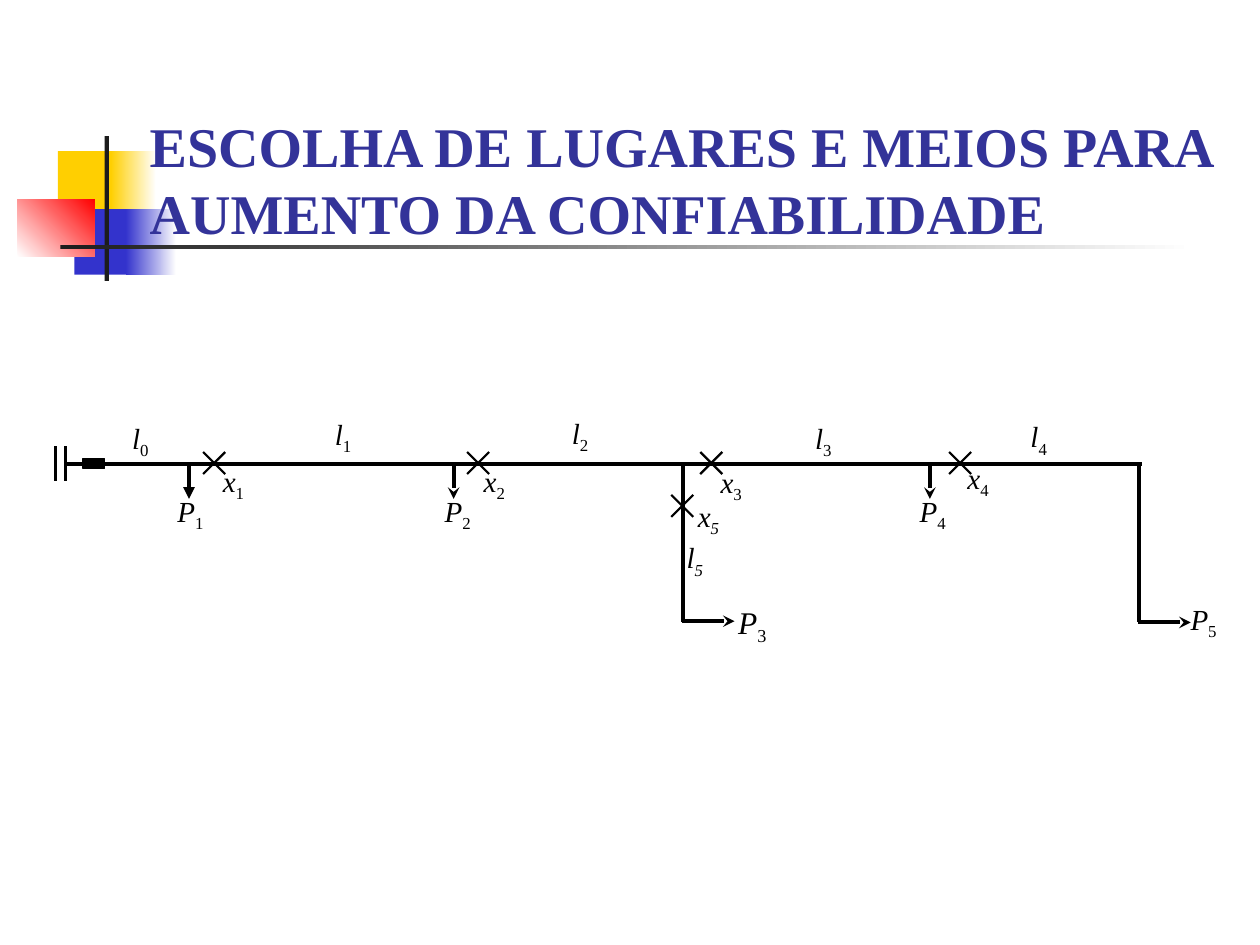
from dataclasses import dataclass
from typing import NamedTuple

from lxml import etree
from pptx import Presentation, util as u
from pptx.dml.color import RGBColor
from pptx.enum import shapes, text
from pptx.oxml import ns

COLUMNS, ROWS = 100, 75
FEEDER_ROW = 36.8


@dataclass(frozen=True)
class Theme:
    font: str = "Times New Roman"
    title_color: str = "333399"
    ink: str = "000000"
    paper: str = "FFFFFF"
    yellow: str = "FFCF01"
    blue: str = "3333CC"
    red: str = "FF0000"
    charcoal: str = "1C1C1C"
    title_size: float = 32
    label_size: float = 16.6
    large_label_size: float = 18
    feeder_width: float = 2.25
    source_width: float = 2
    cross_width: float = 1.25
    block_width: float = 0.75


THEME = Theme()


class Box(NamedTuple):
    column: float
    row: float
    columns: float
    rows: float


class Block(NamedTuple):
    box: Box
    color: str
    fade_to: str = ""
    angle: float = 0


class Wire(NamedTuple):
    start: tuple[float, float]
    end: tuple[float, float]
    width: float = THEME.feeder_width
    arrow: str = ""


class Label(NamedTuple):
    letter: str
    index: str
    column: float
    row: float
    size: float = THEME.label_size
    line_spacing: float = 0.9
    box_size: tuple[float, float] = (6.1, 4.2)
    italic_index: bool = False


DECORATION = [
    Block(Box(4.6, 12, 4.8, 5.2), THEME.yellow),
    Block(Box(8.8, 12, 3.6, 5.2), THEME.yellow, THEME.paper),
    Block(Box(5.9, 16.6, 4.6, 5.2), THEME.blue),
    Block(Box(10, 16.6, 4, 5.2), THEME.blue, THEME.paper),
    Block(Box(1.4, 15.8, 6.1, 4.6), THEME.paper, THEME.red, 45),
    Block(Box(8.3, 10.8, 0.35, 11.5), THEME.charcoal),
    Block(Box(4.8, 19.45, 90, 0.35), THEME.charcoal, THEME.paper),
]
TITLE_BOX = Box(10.9, 6.7, 87.4, 13.3)
TITLE = "ESCOLHA DE LUGARES E MEIOS PARA AUMENTO DA CONFIABILIDADE"

BREAKER = Block(Box(6.6, 36.4, 1.7, 0.8), THEME.ink)
LOAD_TAPS = [(15, "triangle"), (36, "stealth"), (73.8, "stealth")]
BRANCHES = [(54.2, 49.3), (90.4, 49.4)]
WIRES = [
    Wire((5.2, FEEDER_ROW), (90.6, FEEDER_ROW)),
    *(Wire((column, FEEDER_ROW), (column, 39.6), arrow=head) for column, head in LOAD_TAPS),
    *(Wire((column, FEEDER_ROW), (column, 49.4)) for column, _ in BRANCHES),
    *(Wire((column - 0.1, row), (column + 4.1, row), arrow="stealth") for column, row in BRANCHES),
    *(Wire((column, 35.4), (column, 38.2), THEME.source_width) for column in (4.4, 5.2)),
]
CROSS_SPAN = 1.75
CROSS_CENTRES = [(17, 36.75), (37.95, 36.75), (56.45, 36.75), (76.2, 36.75), (54.15, 40.15)]

LABELS = [
    Label("P", "1", 13.1, 38.7),
    Label("P", "2", 34.3, 38.7),
    Label("P", "3", 57.6, 47.4, THEME.large_label_size, 1.0, (7.1, 4.9)),
    Label("P", "4", 72, 38.7),
    Label("P", "5", 93.5, 47.3),
    Label("l", "0", 9.5, 32.9),
    Label("l", "1", 25.6, 32.6),
    Label("l", "2", 44.4, 32.5),
    Label("l", "3", 63.7, 32.9),
    Label("l", "4", 80.8, 32.8),
    Label("l", "5", 53.5, 42.4, italic_index=True),
    Label("x", "1", 16.7, 36.3),
    Label("x", "2", 37.4, 36.3),
    Label("x", "3", 56.2, 36.4),
    Label("x", "4", 75.8, 36.1),
    Label("x", "5", 54.4, 39.1, italic_index=True),
]

presentation = Presentation()
presentation.slide_width, presentation.slide_height = u.Inches(10), u.Inches(7.5)


def across(columns: float) -> int:
    return round(presentation.slide_width * columns / COLUMNS)


def down(rows: float) -> int:
    return round(presentation.slide_height * rows / ROWS)


def place(box: Box) -> tuple[int, int, int, int]:
    return across(box.column), down(box.row), across(box.columns), down(box.rows)


def rgb(color: str) -> RGBColor:
    return RGBColor.from_string(color)


def draw_block(slide, block: Block):
    shape = slide.shapes.add_shape(shapes.MSO_SHAPE.RECTANGLE, *place(block.box))
    shape.shadow.inherit = False
    shape.line.fill.background()
    if block.fade_to:
        shape.fill.gradient()
        shape.fill.gradient_angle = block.angle
        for stop, color in zip(shape.fill.gradient_stops, (block.color, block.fade_to)):
            stop.color.rgb = rgb(color)
    else:
        shape.fill.solid()
        shape.fill.fore_color.rgb = rgb(block.color)
    return shape


def draw_wire(parent, wire: Wire) -> None:
    """Draw a straight line on a slide or inside a group."""
    (x1, y1), (x2, y2) = wire.start, wire.end
    connector = parent.shapes.add_connector(
        shapes.MSO_CONNECTOR.STRAIGHT, across(x1), down(y1), across(x2), down(y2))
    connector.line.color.rgb = rgb(THEME.ink)
    connector.line.width = u.Pt(wire.width)
    if wire.arrow:
        etree.SubElement(connector.line._get_or_add_ln(), ns.qn("a:tailEnd"), type=wire.arrow)
    etree.SubElement(connector._element.spPr, ns.qn("a:effectLst"))


def draw_cross(slide, column: float, row: float) -> None:
    group = slide.shapes.add_group_shape()
    half = CROSS_SPAN / 2
    for rise in (half, -half):
        draw_wire(group, Wire((column + half, row - rise), (column - half, row + rise),
                              THEME.cross_width))


def add_text_box(slide, box: Box):
    text_frame = slide.shapes.add_textbox(*place(box)).text_frame
    text_frame.word_wrap = True
    return text_frame


def style(run, size: float, color: str, bold: bool = False, italic: bool = False) -> None:
    run.font.name = THEME.font
    run.font.size = u.Pt(size)
    run.font.color.rgb = rgb(color)
    run.font.bold, run.font.italic = bold, italic


def draw_label(slide, label: Label) -> None:
    """Write an italic letter followed by its subscript index."""
    paragraph = add_text_box(slide, Box(label.column, label.row, *label.box_size)).paragraphs[0]
    paragraph.line_spacing = label.line_spacing
    for content, italic in ((label.letter, True), (label.index, label.italic_index)):
        run = paragraph.add_run()
        run.text = content
        style(run, label.size, THEME.ink, italic=italic)
    run._r.get_or_add_rPr().set("baseline", "-25000")


def draw_title(slide) -> None:
    text_frame = add_text_box(slide, TITLE_BOX)
    text_frame.vertical_anchor = text.MSO_ANCHOR.BOTTOM
    text_frame.text = TITLE
    style(text_frame.paragraphs[0].runs[0], THEME.title_size, THEME.title_color, bold=True)


def main() -> None:
    slide = presentation.slides.add_slide(presentation.slide_layouts[6])
    for block in DECORATION:
        draw_block(slide, block)
    draw_title(slide)
    for wire in WIRES:
        draw_wire(slide, wire)
    breaker = draw_block(slide, BREAKER)
    breaker.line.color.rgb = rgb(THEME.ink)
    breaker.line.width = u.Pt(THEME.block_width)
    for column, row in CROSS_CENTRES:
        draw_cross(slide, column, row)
    for label in LABELS:
        draw_label(slide, label)
    presentation.save("out.pptx")


if __name__ == "__main__":
    main()
